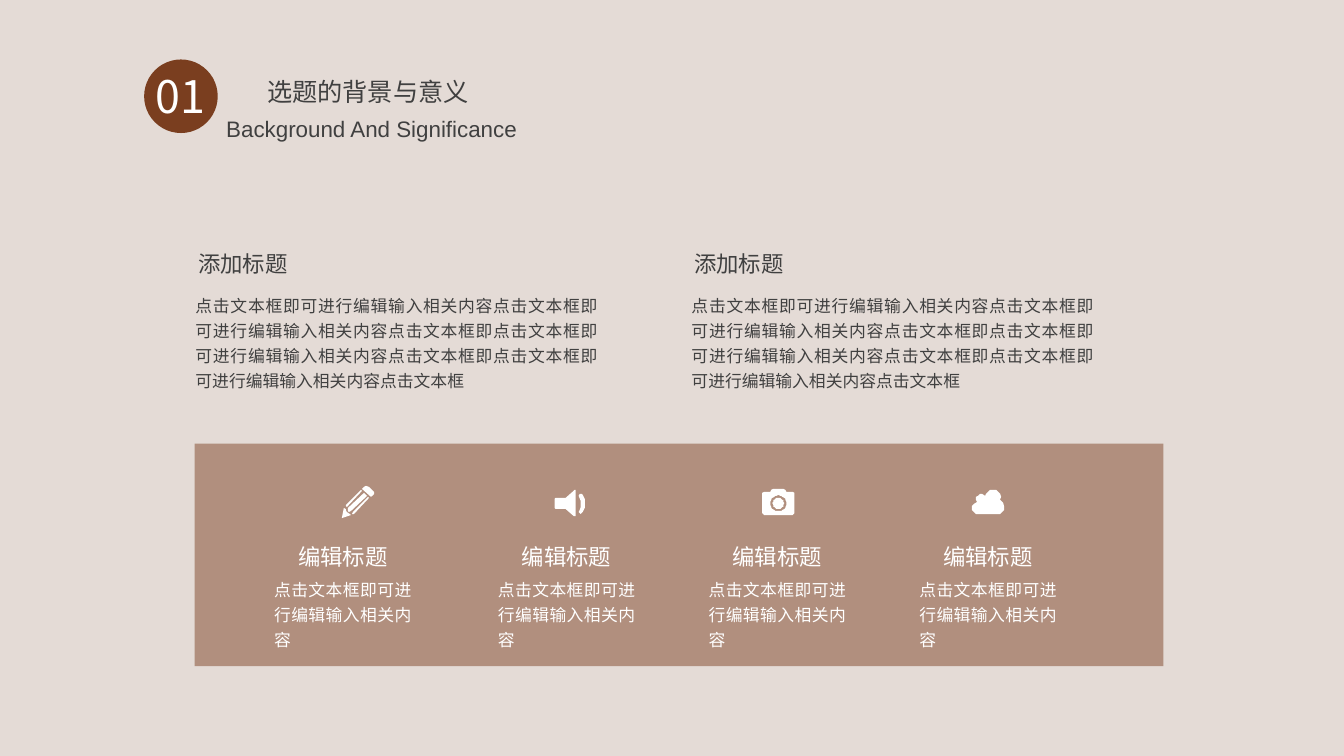
from math import cos, pi, sin

from lxml import etree
from pptx import Presentation
from pptx.dml.color import RGBColor
from pptx.enum.shapes import MSO_SHAPE
from pptx.enum.text import MSO_AUTO_SIZE, PP_ALIGN
from pptx.oxml.ns import qn
from pptx.util import Inches, Pt

OVAL, RECTANGLE = MSO_SHAPE.OVAL, MSO_SHAPE.RECTANGLE
LEFT, CENTER, JUSTIFY = PP_ALIGN.LEFT, PP_ALIGN.CENTER, PP_ALIGN.JUSTIFY
GROW = MSO_AUTO_SIZE.SHAPE_TO_FIT_TEXT

COLORS = {"paper": "E4DBD6", "brown": "7A3E1F", "ink": "404040", "white": "FFFFFF"}
CHINESE, LATIN = "Noto Sans CJK SC", "Arial"
CELL = Inches(0.01)
COLUMNS, ROWS = 1333, 750

TOPIC_BODY = (
    "点击文本框即可进行编辑输入相关内容点击文本框即可进行编辑输入相关内容点击文本框即"
    "点击文本框即可进行编辑输入相关内容点击文本框即"
    "点击文本框即可进行编辑输入相关内容点击文本框"
)
FEATURE_BODY = "点击文本框即可进行编辑输入相关内容"


def ring(x, y, radius, steps=32):
    return [(x + radius * cos(2 * pi * i / steps), y + radius * sin(2 * pi * i / steps))
            for i in range(steps)]


PENCIL = [
    [(30, 10), (29, 11), (20, 3), (22, 1), (24, 0), (27, 1), (30, 4), (32, 6.5), (31.5, 8)],
    [(11, 26), (10.5, 27.5), (12, 28), (27, 12), (26, 11)],
    [(4, 19), (3.5, 20.5), (5, 21), (20, 5), (19, 4)],
    [(22, 7), (6, 22), (6, 25), (7, 26), (9, 25), (25, 10)],
    [(9, 29), (8, 28), (5, 26), (4, 24), (4, 23), (2, 22), (0, 32)],
]
SPEAKER = [
    [(19, 1), (20, 0), (21, 0.5), (21, 26), (20, 26.5), (19, 26), (11, 19), (1, 19),
     (0, 18), (0, 9), (1, 8), (11, 8), (19, 1)],
    [(25, 4), (27, 4), (28, 5), (29.5, 9), (30, 14), (29.5, 18), (28, 22), (26, 23.5),
     (25, 23), (24, 22), (25, 20), (26, 17), (26, 11), (24, 6)],
]
CAMERA = [
    [(30, 3), (32, 4), (32, 24), (30, 25.5), (2, 25.5), (0, 24), (0, 4), (2, 3), (8, 3),
     (9, 1), (11, 0), (21, 0), (23, 1), (24, 3)],
    ring(16, 14.5, 8),
    ring(16, 14.5, 5.5),
]
CLOUD = [
    [(28, 10), (31, 13), (32, 17), (31.5, 20), (30, 22), (28, 23.5), (24, 24), (7, 24),
     (4, 23.5), (2, 22), (0.5, 20), (0, 18), (0.5, 16), (2, 14), (5, 12), (4.5, 10),
     (4.5, 7), (6, 5.5), (8, 4.5), (10, 4.5), (13, 5.5), (14, 4), (16, 2), (18, 0.5),
     (21, 0), (24, 0.5), (26, 2), (28, 4.5), (29, 7), (28.5, 9)],
]
FEATURES = [(69, PENCIL, 77, 42), (291, SPEAKER, 66, 46),
            (500, CAMERA, 63, 45), (709, CLOUD, 62, 46)]


def cells(*lengths):
    return [int(length * CELL) for length in lengths]


def paint(shape, color):
    shape.shadow.inherit = False
    shape.fill.solid()
    shape.fill.fore_color.rgb = RGBColor.from_string(COLORS[color])
    shape.line.fill.background()
    return shape


def write(slide, box, words, size, color, align=CENTER, face=CHINESE, spacing=None, wrap=True):
    frame = slide.shapes.add_textbox(*cells(*box)).text_frame
    frame.word_wrap = wrap
    frame.auto_size = GROW
    frame.text = words
    paragraph = frame.paragraphs[0]
    paragraph.alignment = align
    if spacing:
        paragraph.line_spacing = spacing
    run = paragraph.runs[0]
    run.font.size = Pt(size)
    run.font.color.rgb = RGBColor.from_string(COLORS[color])
    run.font.name = face
    etree.SubElement(run.font._element, qn("a:ea"), typeface=face)


def draw_icon(slide, left, top, contours):
    builder = slide.shapes.build_freeform(*contours[0][0], scale=CELL)
    builder.add_line_segments(contours[0][1:], close=True)
    for contour in contours[1:]:
        builder.move_to(*contour[0])
        builder.add_line_segments(contour[1:], close=True)
    paint(builder.convert_to_shape(*cells(left, top)), "white")


def add_header(slide, left, top):
    paint(slide.shapes.add_shape(OVAL, *cells(left + 12, top + 18, 73, 73)), "brown")
    write(slide, (left, top + 22, 96, 64), "01", 32, "white")
    write(slide, (left + 124, top, 222, 62), "选题的背景与意义", 18, "ink",
          LEFT, spacing=2.0, wrap=False)
    write(slide, (left - 40, top + 68, 549, 37), " Background And Significance", 16, "ink",
          face=LATIN)


def add_topic(slide, left, top):
    write(slide, (left, top, 260, 39), "添加标题", 16, "ink")
    write(slide, (left + 73, top + 40, 419, 109), TOPIC_BODY, 12, "ink", JUSTIFY, spacing=1.25)


def add_feature_panel(slide, left, top, width, height):
    panel = paint(slide.shapes.add_shape(RECTANGLE, *cells(left, top, width, height)), "brown")
    tint = panel.fill._xPr.find(qn("a:solidFill"))[0]
    etree.SubElement(tint, qn("a:alpha"), val="48000")
    for offset, icon, icon_x, icon_y in FEATURES:
        start = left + offset
        draw_icon(slide, start + icon_x, top + icon_y, icon)
        write(slide, (start, top + 125, 156, 84), FEATURE_BODY, 12, "white",
              JUSTIFY, spacing=1.25)
        write(slide, (start, top + 94, 156, 36), "编辑标题", 16, "white")


def main():
    deck = Presentation()
    deck.slide_width, deck.slide_height = cells(COLUMNS, ROWS)
    slide = deck.slides.add_slide(deck.slide_layouts[6])
    slide.background.fill.solid()
    slide.background.fill.fore_color.rgb = RGBColor.from_string(COLORS["paper"])
    add_header(slide, 131, 41)
    add_feature_panel(slide, 193, 440, 961, 221)
    for topic_left in (111, 603):
        add_topic(slide, topic_left, 243)
    deck.save("out.pptx")


if __name__ == "__main__":
    main()
